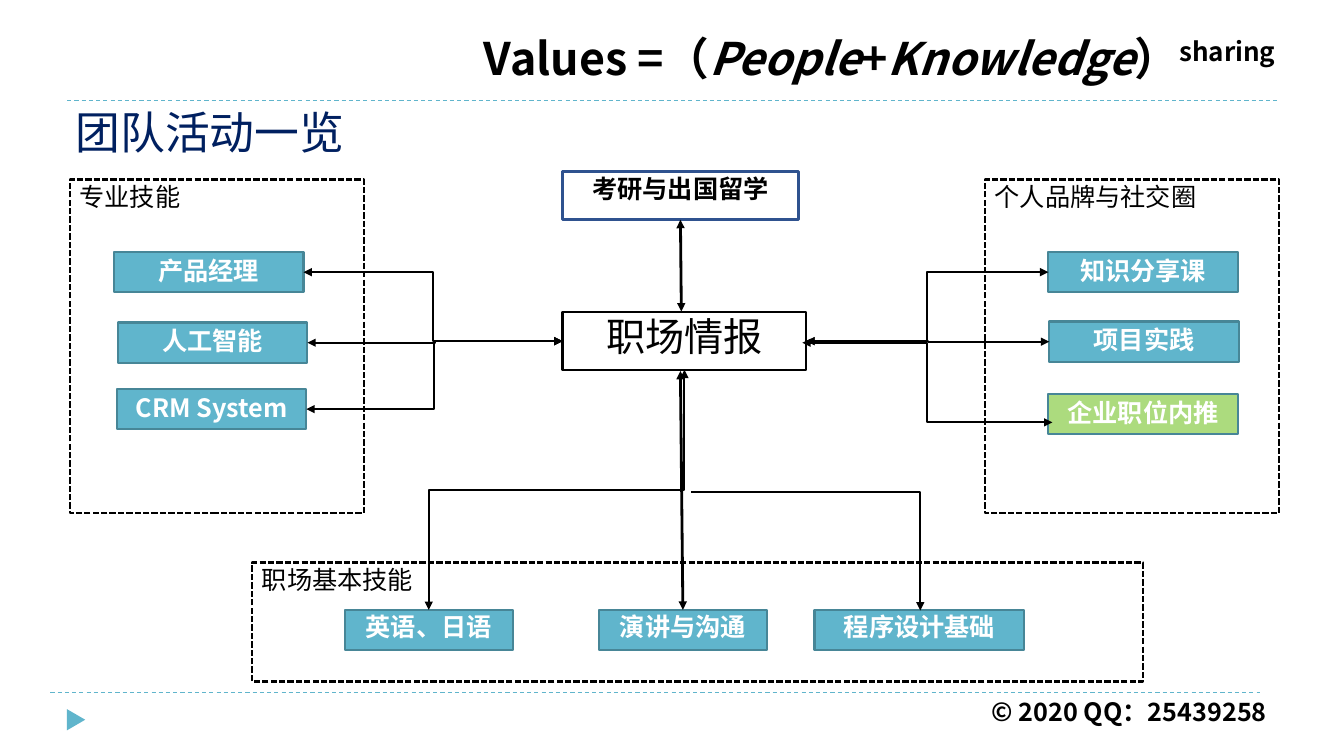
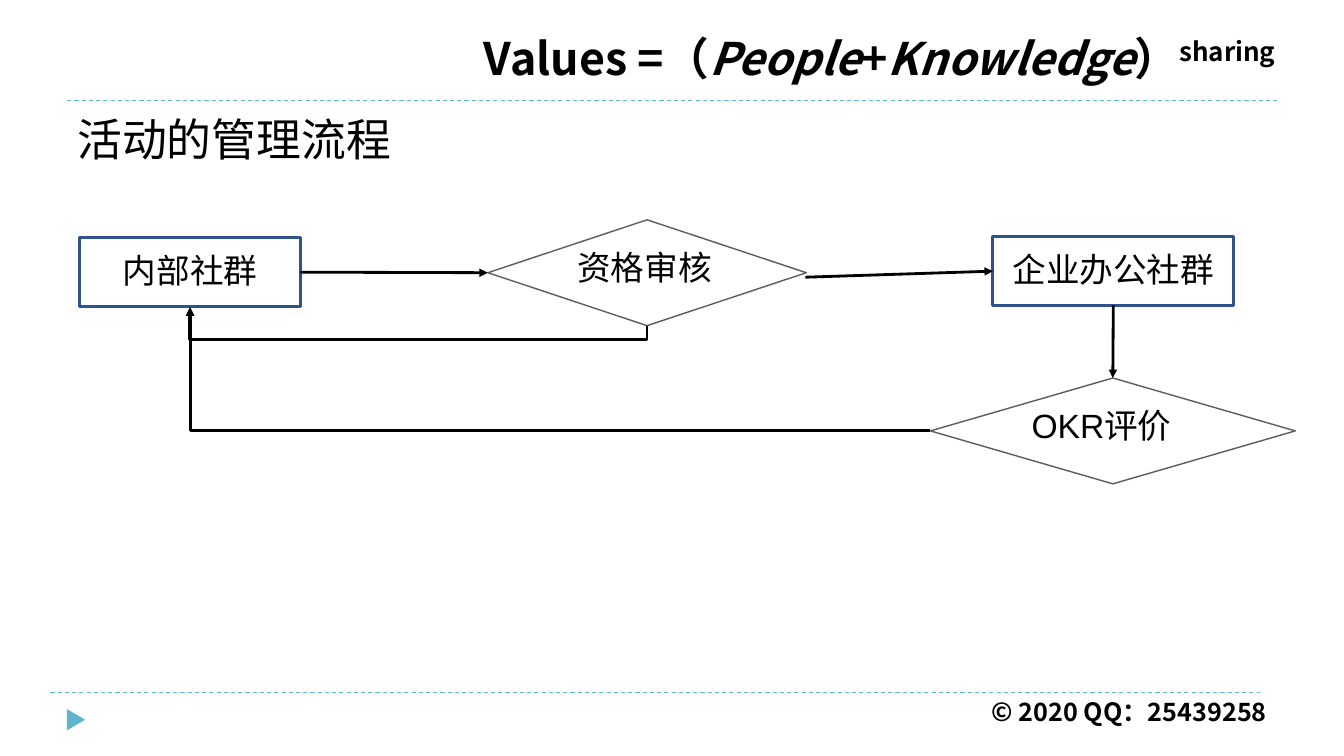
import pptx
import pptx.dml.color
import pptx.enum.dml
import pptx.enum.shapes
import pptx.enum.text
import pptx.oxml.ns
import pptx.util
from lxml import etree

Pt = pptx.util.Pt
qn = pptx.oxml.ns.qn
SHAPE = pptx.enum.shapes.MSO_SHAPE
CONNECTOR = pptx.enum.shapes.MSO_CONNECTOR
DASH = pptx.enum.dml.MSO_LINE
ALIGN = pptx.enum.text.PP_ALIGN
ANCHOR = pptx.enum.text.MSO_ANCHOR

COLORS = {
    "black": "000000", "white": "FFFFFF", "navy": "002060", "blue": "2F528F",
    "teal": "60B5CC", "teal_edge": "478697", "green": "ACDB7E", "gray": "5C5C5C",
}
SANS = "Noto Sans CJK SC"
TOP, LEFT, BOTTOM, RIGHT = range(4)

# Shared header and footer
HEADER_RUNS = [
    ("Values =（", {}), ("People", {"italic": True}), ("+", {}),
    ("Knowledge", {"italic": True}), ("）", {}), ("sharing", {"raised": 30}),
]
FOOTER = "© 2020 QQ：25439258"
RULES = [(48, 72, 912, 72), (36, 494.6, 900, 494.6)]

# Team activities: boxes are (left, top, width, height)
HUB = ("职场情报", (401.8, 223.2, 174.2, 41))
STUDY = ("考研与出国留学", (401.8, 122.4, 168.5, 34.6))
FRAMES = [
    ("专业技能", (49.7, 128.2, 210.2, 238.3)),
    ("职场基本技能", (180, 401.8, 636.5, 85)),
    ("个人品牌与社交圈", (703.4, 128.2, 210.2, 238.3)),
]
BUTTON_WIDTH, BUTTON_HEIGHT = 135.4, 28.8
SKILLS = [("产品经理", 81.4, 180), ("人工智能", 84.2, 230.4), ("CRM System", 83.5, 277.9)]
SOCIAL = [
    ("知识分享课", 748.8, 180, "teal"),
    ("项目实践", 749.5, 229.7, "teal"),
    ("企业职位内推", 748.8, 281.5, "green"),
]
BASICS_TOP = 435.6
BASICS = [("英语、日语", 246.2, 120.2), ("演讲与沟通", 427.7, 120.2), ("程序设计基础", 581.8, 149.8)]

# Management process
STEPS = {
    "community": ("内部社群", (56.9, 169.9, 157.7, 49)),
    "work_group": ("企业办公社群", (709.2, 169.2, 172.1, 49)),
}
DECISIONS = {
    "review": ("资格审核", (348.5, 157, 227.5, 75.6)),
    "rating": ("OKR评价", (664.6, 270, 260.6, 75.6)),
}


def rgb(name):
    return pptx.dml.color.RGBColor.from_string(COLORS[name])


def add_run(paragraph, text, size, color="black", font=SANS, bold=False, italic=False, raised=0):
    run = paragraph.add_run()
    run.text = text
    run.font.size = Pt(size)
    run.font.bold = bold
    run.font.italic = italic
    run.font.color.rgb = rgb(color)
    run.font.name = font
    properties = run._r.get_or_add_rPr()
    etree.SubElement(properties, qn("a:ea")).set("typeface", SANS)
    if raised:
        properties.set("baseline", str(raised * 1000))


def write(shape, runs, align=ALIGN.LEFT, anchor=ANCHOR.TOP, **style):
    """Fill a shape with one paragraph; each run may override the style."""
    frame = shape.text_frame
    frame.word_wrap = True
    frame.vertical_anchor = anchor
    paragraph = frame.paragraphs[0]
    paragraph.alignment = align
    paragraph.line_spacing = 0.9
    for text, changes in runs:
        add_run(paragraph, text, **{**style, **changes})


def add_text(slide, box, runs, **style):
    write(slide.shapes.add_textbox(*map(Pt, box)), runs, **style)


def add_box(slide, kind, box, fill=None, line=None, width=1.5, dash=None):
    shape = slide.shapes.add_shape(kind, *map(Pt, box))
    shape.shadow.inherit = False
    if fill:
        shape.fill.solid()
        shape.fill.fore_color.rgb = rgb(fill)
    else:
        shape.fill.background()
    if line:
        shape.line.color.rgb = rgb(line)
        shape.line.width = Pt(width)
        if dash:
            shape.line.dash_style = dash
    else:
        shape.line.fill.background()
    return shape


def add_button(slide, text, box, fill="teal", anchor=ANCHOR.MIDDLE):
    shape = add_box(slide, SHAPE.RECTANGLE, box, fill, "teal_edge")
    write(shape, [(text, {})], ALIGN.CENTER, anchor, size=18, color="white", bold=True)
    return shape


def style_connector(connector, color, width, heads="", dash=None):
    """heads holds "b" for an arrowhead at the beginning, "e" at the end."""
    connector.line.color.rgb = rgb(color)
    connector.line.width = Pt(width)
    if dash:
        connector.line.dash_style = dash
    line = connector.line._get_or_add_ln()
    for mark, tag in (("b", "a:headEnd"), ("e", "a:tailEnd")):
        if mark in heads:
            etree.SubElement(line, qn(tag)).set("type", "triangle")
    etree.SubElement(connector._element.spPr, qn("a:effectLst"))


def add_line(slide, points, width=2.0, color="black", heads="e", dash=None, begin=None, end=None):
    """begin and end are (shape, side) pairs to join."""
    connector = slide.shapes.add_connector(CONNECTOR.STRAIGHT, *map(Pt, points))
    if begin:
        connector.begin_connect(*begin)
    if end:
        connector.end_connect(*end)
    style_connector(connector, color, width, heads, dash)


def add_elbow(slide, start, end, width=1.5, heads="be", vertical=False, bend=None, corner=False):
    """Bent arrow; vertical leaves up or down, corner has a single bend."""
    (x1, y1), (x2, y2) = start, end
    if vertical:
        middle_x, middle_y = (x1 + x2) / 2, (y1 + y2) / 2
        half_x, half_y = (y2 - y1) / 2, (x1 - x2) / 2
        x1, x2 = middle_x - half_x, middle_x + half_x
        y1, y2 = middle_y - half_y, middle_y + half_y
    connector = slide.shapes.add_connector(CONNECTOR.ELBOW, *map(Pt, (x1, y1, x2, y2)))
    properties = connector._element.spPr
    geometry = properties.find(qn("a:prstGeom"))
    if vertical:
        properties.find(qn("a:xfrm")).set("rot", "5400000")
    if corner:
        geometry.set("prst", "bentConnector2")
    if bend is not None:
        adjustments = geometry.find(qn("a:avLst"))
        if adjustments is None:
            adjustments = etree.SubElement(geometry, qn("a:avLst"))
        guide = etree.SubElement(adjustments, qn("a:gd"))
        guide.set("name", "adj1")
        guide.set("fmla", f"val {round(bend * 100000)}")
    style_connector(connector, "black", width, heads)


def new_slide(presentation, title, left, top, color="black", font=SANS):
    slide = presentation.slides.add_slide(presentation.slide_layouts[6])
    for points in RULES:
        add_line(slide, points, 0.75, "teal", "", DASH.DASH)
    marker = add_box(slide, SHAPE.ISOSCELES_TRIANGLE, (46.8, 507.6, 15.1, 13), "teal")
    marker.rotation = 90
    add_text(slide, (462, 496, 450, 28.8), [(FOOTER, {})], align=ALIGN.RIGHT, size=18, bold=True)
    add_text(slide, (271.4, 22.5, 646.6, 46), HEADER_RUNS, align=ALIGN.RIGHT, size=32, bold=True)
    add_text(slide, (left, top, 828, 46), [(title, {})], size=32, color=color, font=font)
    return slide


def build_activities(presentation):
    slide = new_slide(presentation, "团队活动一览", 46.8, 75.6, "navy")
    text, hub_box = HUB
    hub = add_box(slide, SHAPE.RECTANGLE, hub_box, "white", "black")
    write(hub, [(text, {})], ALIGN.CENTER, size=28)
    for text, box in FRAMES:
        frame = add_box(slide, SHAPE.RECTANGLE, box, "white", "black", dash=DASH.SQUARE_DOT)
        write(frame, [(text, {})], size=18)
    text, box = STUDY
    study = add_box(slide, SHAPE.RECTANGLE, box, None, "blue", 2)
    write(study, [(text, {})], ALIGN.CENTER, size=18, font="Arial", bold=True)

    hub_left, hub_top, hub_width, hub_height = hub_box
    hub_right, hub_middle = hub_left + hub_width, hub_top + hub_height / 2
    for text, left, top in SKILLS:
        add_button(slide, text, (left, top, BUTTON_WIDTH, BUTTON_HEIGHT))
        add_elbow(slide, (left + BUTTON_WIDTH, top + BUTTON_HEIGHT / 2), (hub_left, hub_middle))
    for text, left, top, fill in SOCIAL:
        add_button(slide, text, (left, top, BUTTON_WIDTH, BUTTON_HEIGHT), fill)
        if fill == "teal":
            add_elbow(slide, (hub_right, hub_middle), (left, top + BUTTON_HEIGHT / 2))
    add_elbow(slide, (573.1, 244.8), (751.7, 301.7))

    basics = [
        add_button(slide, text, (left, BASICS_TOP, width, BUTTON_HEIGHT), anchor=ANCHOR.TOP)
        for text, left, width in BASICS
    ]
    add_elbow(slide, (488.9, hub_top + hub_height), (306.3, BASICS_TOP), vertical=True)
    add_elbow(slide, (493.9, 351.4), (657.4, 436), heads="e", corner=True)
    add_line(slide, (486, 265, 487.8, BASICS_TOP), heads="be", end=(basics[1], TOP))
    add_line(slide, (486.7, 222.5, 486, 157), heads="be", end=(study, BOTTOM))


def build_process(presentation):
    slide = new_slide(presentation, "活动的管理流程", 48.2, 80.6, font="TeX Gyre Bonum")
    nodes = {}
    for name, (text, box) in STEPS.items():
        nodes[name] = add_box(slide, SHAPE.RECTANGLE, box, None, "blue", 2)
        write(nodes[name], [(text, {})], ALIGN.CENTER, ANCHOR.MIDDLE, size=24, font="Arial")
    for name, (text, box) in DECISIONS.items():
        nodes[name] = add_box(slide, SHAPE.DIAMOND, box, "white", "gray", 1)
        write(nodes[name], [(text, {})], size=24, font="Arial")

    community, work_group = nodes["community"], nodes["work_group"]
    review, rating = nodes["review"], nodes["rating"]
    add_line(slide, (214.6, 194.4, 348.5, 194.8), begin=(community, RIGHT), end=(review, LEFT))
    add_line(slide, (575.3, 198, 709.2, 193.7), end=(work_group, LEFT))
    add_line(slide, (795, 218.2, 795, 270), begin=(work_group, BOTTOM), end=(rating, TOP))
    add_elbow(slide, (462.2, 232.6), (135.7, 219.6), 2, "e", vertical=True, bend=-0.77)
    add_elbow(slide, (664.6, 307.8), (135.9, 219.6), 2, "e", corner=True)


def main():
    presentation = pptx.Presentation()
    presentation.slide_width, presentation.slide_height = Pt(960), Pt(540)
    build_activities(presentation)
    build_process(presentation)
    presentation.save("out.pptx")


if __name__ == "__main__":
    main()
